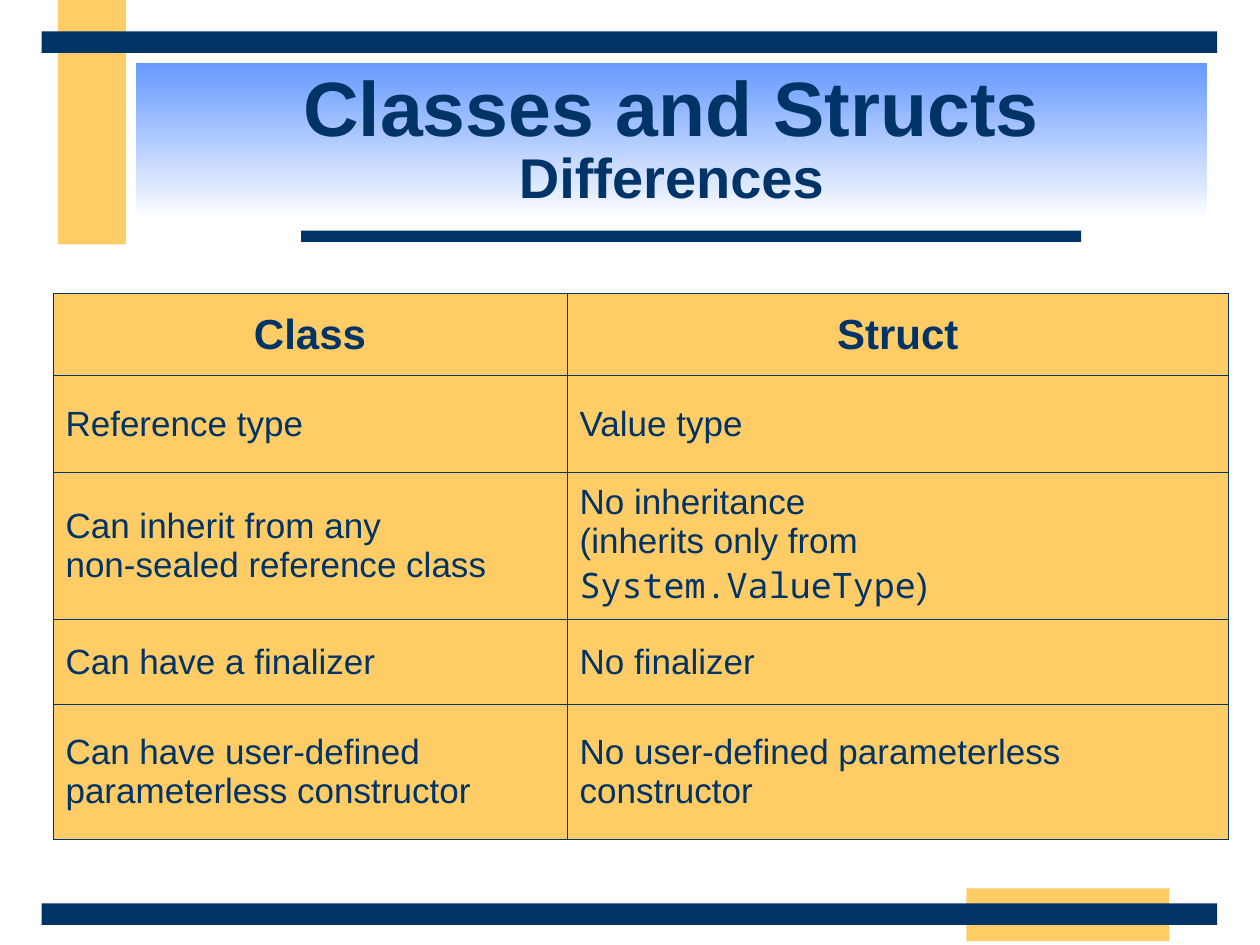
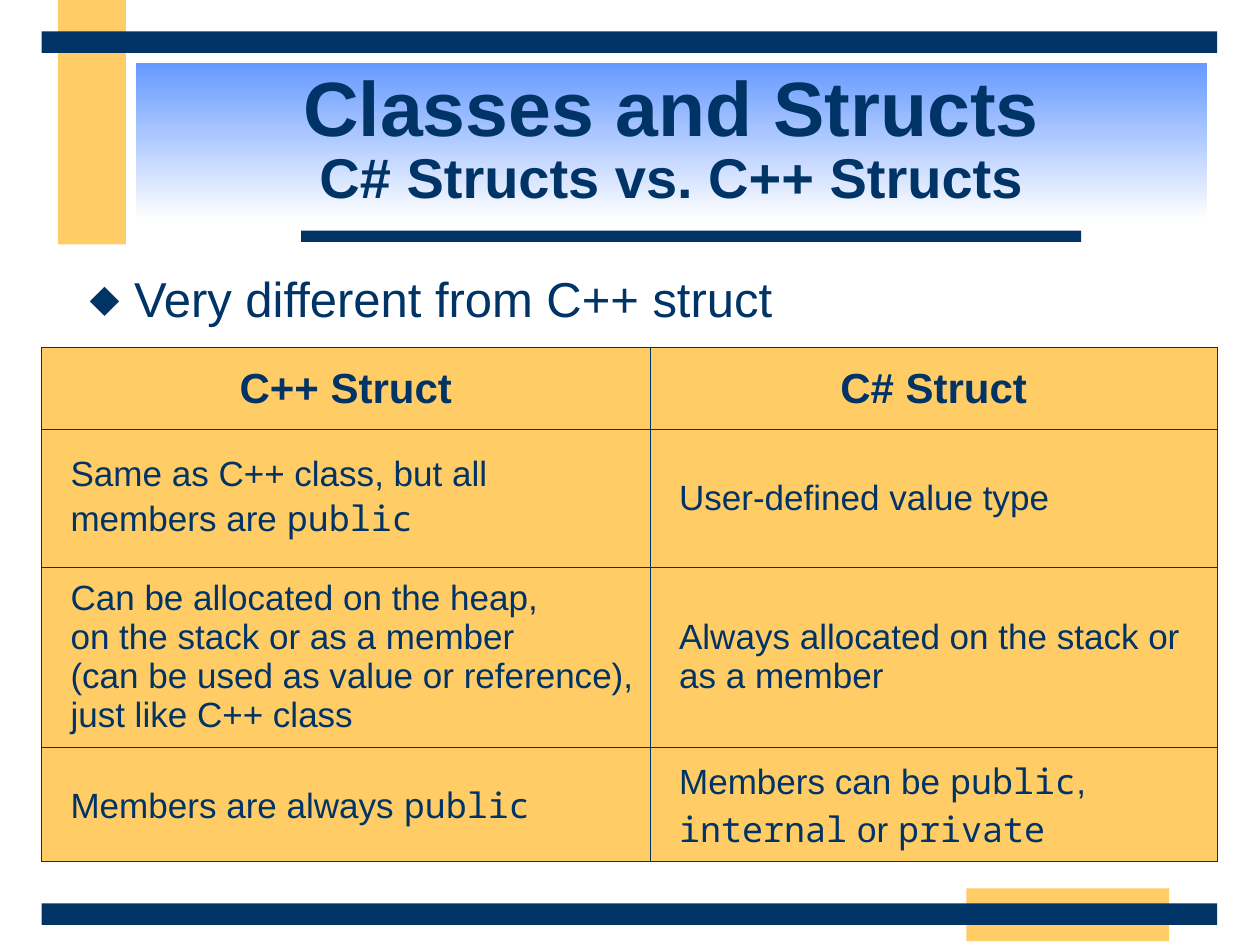
from dataclasses import dataclass
from typing import Optional

from lxml.etree import SubElement
from pptx import Presentation
from pptx.dml.color import RGBColor
from pptx.enum.shapes import MSO_SHAPE as Shape
from pptx.enum.text import MSO_ANCHOR as Anchor, PP_ALIGN as Align
from pptx.oxml.ns import qn
from pptx.util import Inches, Pt

NAVY = RGBColor(0x00, 0x33, 0x66)
AMBER = RGBColor(0xFF, 0xCC, 0x66)
SKY = RGBColor(0x66, 0x99, 0xFF)
WHITE = RGBColor(0xFF, 0xFF, 0xFF)
BODY_FONT = "Arial"
CODE_FONT = "Noto Sans Mono"
TITLE = "Classes and Structs"


@dataclass(frozen=True)
class Band:
    left: float
    top: float
    width: float
    height: float
    color: RGBColor


@dataclass(frozen=True)
class Comparison:
    left: float
    top: float
    column_widths: tuple[float, ...]
    row_heights: tuple[float, ...]
    rows: tuple[tuple[str, ...], ...]
    indent: float = 0


@dataclass(frozen=True)
class Topic:
    subtitle: str
    comparison: Comparison
    point: Optional[str] = None


BANDS = (
    Band(0.46, 0, 0.54, 1.94, AMBER),
    Band(7.67, 7.05, 1.61, 0.42, AMBER),
    Band(2.39, 1.83, 6.19, 0.09, NAVY),
    Band(0.33, 7.17, 9.33, 0.17, NAVY),
    Band(0.33, 0.25, 9.33, 0.17, NAVY),
)

TOPICS = (
    Topic(
        "Differences",
        Comparison(
            0.42, 2.33, (4.08, 5.25), (0.65, 0.77, 1.17, 0.67, 1.07),
            (
                ("Class", "Struct"),
                ("Reference type", "Value type"),
                ("Can inherit from any \nnon-sealed reference class",
                 "No inheritance\n(inherits only from `System.ValueType`)"),
                ("Can have a finalizer", "No finalizer"),
                ("Can have user-defined parameterless constructor",
                 "No user-defined parameterless constructor"),
            ),
        ),
    ),
    Topic(
        "C# Structs vs. C++ Structs",
        Comparison(
            0.33, 2.76, (4.83, 4.5), (0.65, 1.09, 1.43, 0.91),
            (
                ("C++ Struct", "C# Struct"),
                ("Same as C++ class, but all members are `public`",
                 "User-defined value type"),
                ("Can be allocated on the heap, \non the stack or as a member \n"
                 "(can be used as value or reference), just like C++ class",
                 "Always allocated on the stack or \nas a member"),
                ("Members are always `public`",
                 "Members can be `public`, `internal` or `private`"),
            ),
            indent=0.13,
        ),
        point="Very different from C++ struct",
    ),
)


def write_text(paragraph, text: str, *, size: float, bold: bool = False,
               align: Align = Align.LEFT, before: float = 0,
               margin: float = 0, first_line: float = 0) -> None:
    """Add text to a paragraph; backticks enclose code, newlines break lines."""
    paragraph.alignment = align
    paragraph.space_before = Pt(before)
    properties = paragraph._p.get_or_add_pPr()
    properties.set("marL", str(Inches(margin)))
    properties.set("indent", str(Inches(first_line)))
    for part, span in enumerate(text.split("`")):
        for number, line in enumerate(span.split("\n")):
            if number:
                paragraph.add_line_break()
            if not line:
                continue
            run = paragraph.add_run()
            run.text = line
            run.font.name = CODE_FONT if part % 2 else BODY_FONT
            run.font.size = Pt(size)
            run.font.bold = bold
            run.font.color.rgb = NAVY


def add_rectangle(slide, left: float, top: float, width: float, height: float):
    rectangle = slide.shapes.add_shape(
        Shape.RECTANGLE, Inches(left), Inches(top), Inches(width), Inches(height))
    rectangle.shadow.inherit = False
    rectangle.line.fill.background()
    return rectangle


def add_band(slide, band: Band) -> None:
    rectangle = add_rectangle(slide, band.left, band.top, band.width, band.height)
    rectangle.fill.solid()
    rectangle.fill.fore_color.rgb = band.color


def add_title(slide, subtitle: str) -> None:
    banner = add_rectangle(slide, 1.08, 0.5, 8.5, 1.25)
    banner.fill.gradient()
    banner.fill.gradient_angle = 270
    for stop, color, position in zip(banner.fill.gradient_stops, (SKY, WHITE), (0, 1)):
        stop.color.rgb = color
        stop.position = position
    frame = banner.text_frame
    frame.word_wrap = True
    frame.vertical_anchor = Anchor.MIDDLE
    heading = frame.paragraphs[0]
    heading.line_spacing = 0.85
    write_text(heading, TITLE + "\n", size=44, bold=True, align=Align.CENTER)
    write_text(heading, subtitle, size=32, bold=True, align=Align.CENTER)


def add_point(slide, point: str) -> None:
    body = slide.shapes.add_textbox(Inches(0.5), Inches(2.08), Inches(9), Inches(0.65))
    body.text_frame.word_wrap = True
    paragraph = body.text_frame.paragraphs[0]
    write_text(paragraph, point, size=28, before=7, margin=0.38, first_line=-0.38)
    properties = paragraph._p.get_or_add_pPr()
    bullet_color = SubElement(properties, qn("a:buClr"))
    SubElement(bullet_color, qn("a:srgbClr"), val=str(NAVY))
    SubElement(properties, qn("a:buFont"), typeface=CODE_FONT)
    SubElement(properties, qn("a:buChar"), char="◆")


def add_borders(cell) -> None:
    properties = cell._tc.get_or_add_tcPr()
    for side in ("lnL", "lnR", "lnT", "lnB"):
        border = SubElement(properties, qn(f"a:{side}"), w=str(Pt(0.45)))
        fill = SubElement(border, qn("a:solidFill"))
        SubElement(fill, qn("a:srgbClr"), val=str(NAVY))


def add_comparison(slide, comparison: Comparison) -> None:
    widths, heights = comparison.column_widths, comparison.row_heights
    table = slide.shapes.add_table(
        len(heights), len(widths), Inches(comparison.left), Inches(comparison.top),
        Inches(sum(widths)), Inches(sum(heights))).table
    table.first_row = table.horz_banding = False
    for column, width in zip(table.columns, widths):
        column.width = Inches(width)
    for index, (row, height) in enumerate(zip(table.rows, heights)):
        row.height = Inches(height)
        for cell, text in zip(row.cells, comparison.rows[index]):
            add_borders(cell)
            cell.fill.solid()
            cell.fill.fore_color.rgb = AMBER
            cell.vertical_anchor = Anchor.MIDDLE
            paragraph = cell.text_frame.paragraphs[0]
            if index == 0:
                write_text(paragraph, text, size=24, bold=True,
                           align=Align.CENTER, before=6)
            else:
                write_text(paragraph, text, size=20, before=5,
                           margin=comparison.indent)


def add_topic(presentation, topic: Topic) -> None:
    slide = presentation.slides.add_slide(presentation.slide_layouts[6])
    for band in BANDS:
        add_band(slide, band)
    add_comparison(slide, topic.comparison)
    add_title(slide, topic.subtitle)
    if topic.point:
        add_point(slide, topic.point)


def main() -> None:
    presentation = Presentation()
    presentation.slide_width = Inches(10)
    presentation.slide_height = Inches(7.5)
    for topic in TOPICS:
        add_topic(presentation, topic)
    presentation.save("out.pptx")


if __name__ == "__main__":
    main()
